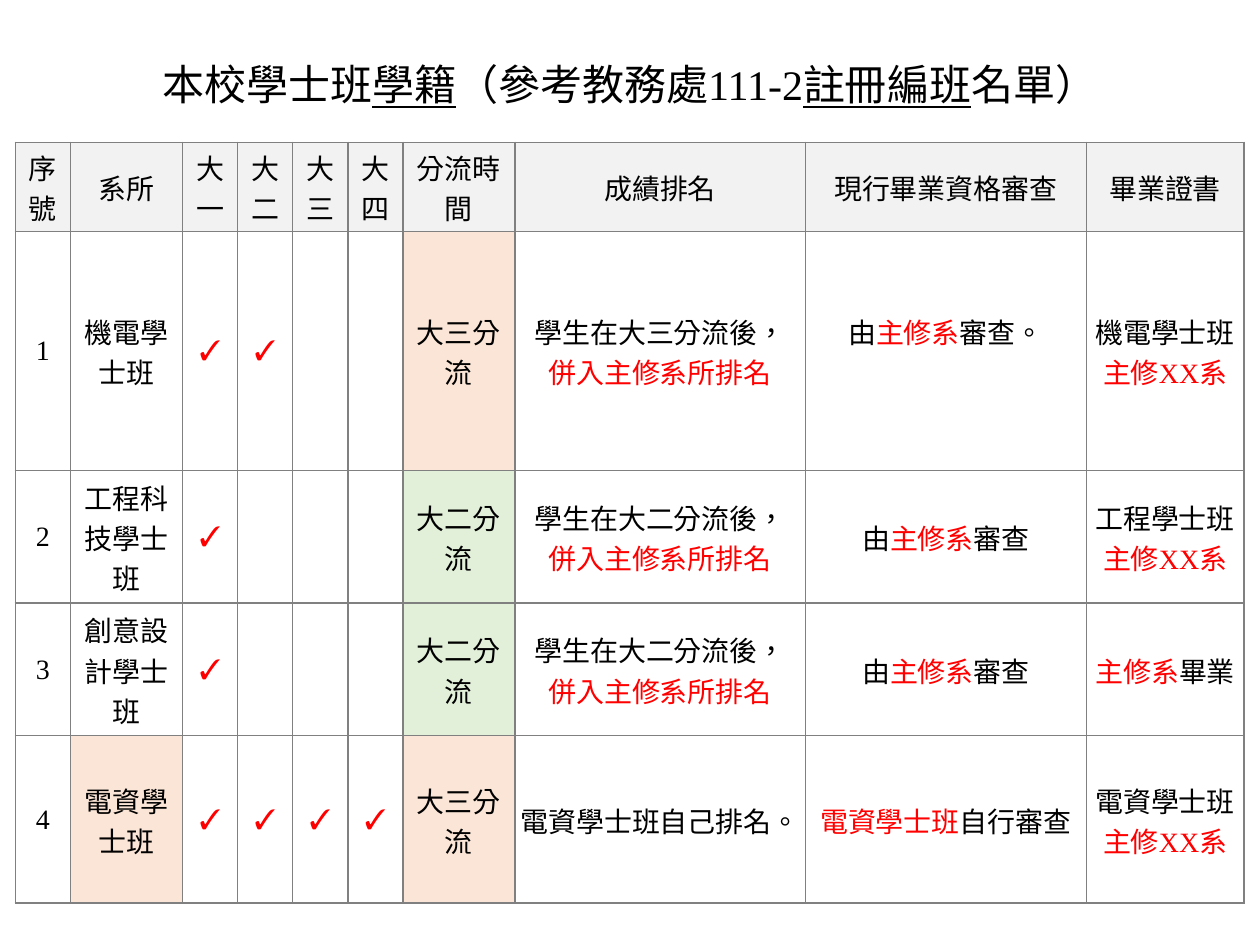
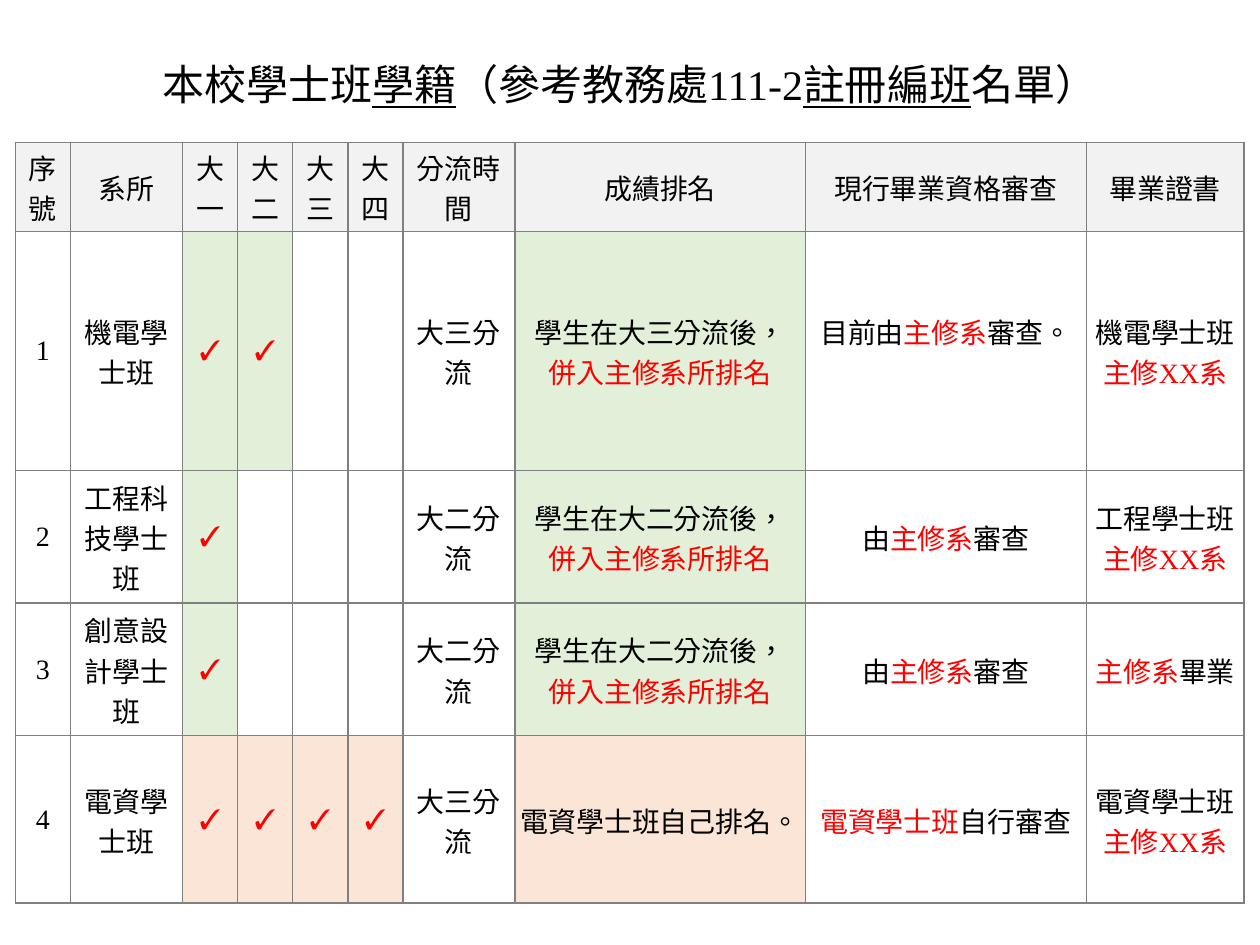
from typing import NamedTuple

from lxml import etree
from pptx import Presentation
from pptx.dml.color import RGBColor
from pptx.enum import lang, text
from pptx.oxml import ns
from pptx.util import Pt

BLACK = RGBColor(0x00, 0x00, 0x00)
RED = RGBColor(0xFF, 0x00, 0x00)
WHITE = RGBColor(0xFF, 0xFF, 0xFF)
GRID_GRAY = RGBColor(0x80, 0x80, 0x80)
HEADER_GRAY = RGBColor(0xF2, 0xF2, 0xF2)
PEACH = RGBColor(0xFB, 0xE5, 0xD6)
GREEN = RGBColor(0xE2, 0xF0, 0xD9)

FONT = "Times New Roman"
TITLE_SIZE, BODY_SIZE = 24, 16
BODY_LINE = 23

TABLE_LEFT, TABLE_TOP = 8.8, 12
COLUMN_WIDTHS = [31.5, 64, 31.5, 31.5, 31.5, 31.5, 64, 166, 160.6, 90]
ROW_HEIGHTS = [69.4, 50.9, 136.5, 75.8, 75.8, 95.8]
NAME, FIRST_YEAR, SPLIT, RANKING, REVIEW = 1, 2, 6, 7, 8
FIRST_PROGRAM_ROW = 2

HEADERS = ["序號", "系所", "大一", "大二", "大三", "大四",
           "分流時間", "成績排名", "現行畢業資格審查", "畢業證書"]


class Run(NamedTuple):
    text: str
    color: RGBColor = BLACK
    underline: bool = False


class Program(NamedTuple):
    name: str
    shared_years: int
    split: str
    ranking: list
    review: list
    diploma: list


def red(words):
    return Run(words, RED)


def merged_ranking(year):
    return [[Run(f"學生在{year}分流後，")], [red("併入主修系所排名")]]


def major_diploma(name):
    return [[Run(name)], [red("主修XX系")]]


def major_review(before="由", after="審查"):
    return [[Run(before), red("主修系"), Run(after)]]


def list_programs(first_review):
    return [
        Program("機電學士班", 2, "大三", merged_ranking("大三"),
                first_review, major_diploma("機電學士班")),
        Program("工程科技學士班", 1, "大二", merged_ranking("大二"),
                major_review(), major_diploma("工程學士班")),
        Program("創意設計學士班", 1, "大二", merged_ranking("大二"),
                major_review(), [[red("主修系"), Run("畢業")]]),
        Program("電資學士班", 4, "大三", [[Run("電資學士班自己排名。")]],
                [[red("電資學士班"), Run("自行審查")]],
                major_diploma("電資學士班")),
    ]


def shade_split_times(programs):
    """Colour the split times by year, and the one program that ranks itself."""
    shades = {(row, SPLIT): PEACH if program.split == "大三" else GREEN
              for row, program in enumerate(programs, FIRST_PROGRAM_ROW)}
    shades[len(ROW_HEIGHTS) - 1, NAME] = PEACH
    return shades


def shade_years_and_rankings(programs):
    """Colour the checked years and the ranking rule of each program."""
    shades = {}
    for row, program in enumerate(programs, FIRST_PROGRAM_ROW):
        color = PEACH if program.shared_years == 4 else GREEN
        years = range(FIRST_YEAR, FIRST_YEAR + program.shared_years)
        for column in (*years, RANKING):
            shades[row, column] = color
    return shades


def set_borders(cell, **colors):
    properties = cell._tc.get_or_add_tcPr()
    for side in "LRTB":
        line = etree.SubElement(properties, ns.qn(f"a:ln{side}"), w=str(Pt(1)))
        fill = etree.SubElement(line, ns.qn("a:solidFill"))
        color = colors.get(side, GRID_GRAY)
        etree.SubElement(fill, ns.qn("a:srgbClr"), val=str(color))


def style_cell(cell, fill=None, **border_colors):
    set_borders(cell, **border_colors)
    if fill is None:
        cell.fill.background()
    else:
        cell.fill.solid()
        cell.fill.fore_color.rgb = fill
    cell.vertical_anchor = text.MSO_ANCHOR.MIDDLE
    cell.margin_left = cell.margin_right = cell.margin_top = Pt(0.7)
    cell.margin_bottom = Pt(0)


def write_lines(cell, lines, size=BODY_SIZE):
    frame = cell.text_frame
    for index, runs in enumerate(lines):
        paragraph = frame.add_paragraph() if index else frame.paragraphs[0]
        paragraph.alignment = text.PP_ALIGN.CENTER
        for part in runs:
            run = paragraph.add_run()
            run.text = part.text
            run.font.name = FONT
            run.font.size = Pt(size)
            run.font.color.rgb = part.color
            run.font.language_id = lang.MSO_LANGUAGE_ID.TRADITIONAL_CHINESE
            if part.underline:
                run.font.underline = True


def add_grid(slide):
    shape = slide.shapes.add_table(
        len(ROW_HEIGHTS), len(COLUMN_WIDTHS), Pt(TABLE_LEFT), Pt(TABLE_TOP),
        Pt(sum(COLUMN_WIDTHS)), Pt(sum(ROW_HEIGHTS)))
    table = shape.table
    table.first_row = table.horz_banding = False
    for column, width in zip(table.columns, COLUMN_WIDTHS):
        column.width = Pt(width)
    for row, height in zip(table.rows, ROW_HEIGHTS):
        row.height = Pt(height)
    return table


def fill_title(table):
    last = len(COLUMN_WIDTHS) - 1
    table.cell(0, 0).merge(table.cell(0, last))
    for column in range(last + 1):
        style_cell(table.cell(0, column), L=WHITE, R=WHITE, T=WHITE)
    write_lines(table.cell(0, 0), [[
        Run("本校學士班"), Run("學籍", underline=True),
        Run("（參考教務處111-2"), Run("註冊編班", underline=True),
        Run("名單）")]], TITLE_SIZE)


def fill_headers(table):
    for column, header in enumerate(HEADERS):
        cell = table.cell(1, column)
        style_cell(cell, HEADER_GRAY)
        write_lines(cell, [[Run(header)]])


def fill_program(table, row, program, shades):
    years = [[[red("✓")]] if year < program.shared_years else []
             for year in range(4)]
    number = row - FIRST_PROGRAM_ROW + 1
    contents = [[[Run(str(number))]], [[Run(program.name)]], *years,
                [[Run(program.split + "分流")]],
                program.ranking, program.review, program.diploma]
    for column, lines in enumerate(contents):
        cell = table.cell(row, column)
        style_cell(cell, shades.get((row, column)))
        write_lines(cell, lines)


def add_program_slide(presentation, first_review, shade):
    slide = presentation.slides.add_slide(presentation.slide_layouts[6])
    table = add_grid(slide)
    fill_title(table)
    fill_headers(table)
    programs = list_programs(first_review)
    shades = shade(programs)
    for row, program in enumerate(programs, FIRST_PROGRAM_ROW):
        fill_program(table, row, program, shades)
    # The first review sits level with the upper line of its neighbours.
    table.cell(FIRST_PROGRAM_ROW, REVIEW).margin_bottom = Pt(BODY_LINE)


def main():
    presentation = Presentation()
    presentation.slide_width, presentation.slide_height = Pt(720), Pt(540)
    add_program_slide(presentation, major_review("由", "審查。"),
                      shade_split_times)
    add_program_slide(presentation, major_review("目前由", "審查。"),
                      shade_years_and_rankings)
    presentation.save("out.pptx")


if __name__ == "__main__":
    main()
